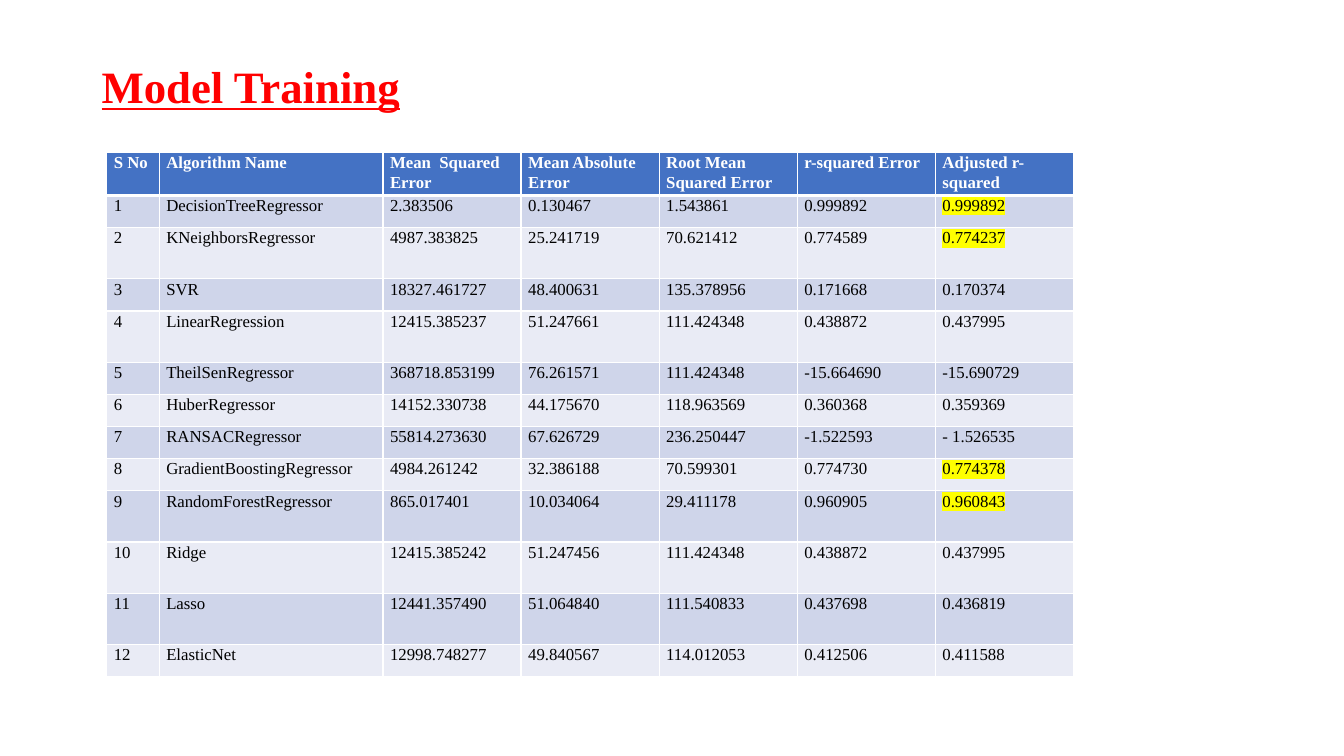
from dataclasses import dataclass

from lxml.etree import SubElement as Sub
from pptx import Presentation
from pptx.dml.color import RGBColor as Rgb
from pptx.enum.text import MSO_ANCHOR as Anchor
from pptx.oxml.ns import qn
from pptx.util import Cm, Pt


@dataclass(frozen=True)
class Theme:
    font: str = "Times New Roman"
    title: str = "FF0000"
    head: str = "4472C4"
    bands: tuple = ("CFD5EA", "E9EBF5")
    light: str = "FFFFFF"
    ink: str = "000000"
    mark: str = "FFFF00"
    big: int = 32
    small: int = 12


HEADS = ("S No", "Algorithm Name", "Mean  Squared Error", "Mean Absolute Error",
         "Root Mean Squared Error", "r-squared Error", "Adjusted r-squared")
MODELS = (
    ("DecisionTreeRegressor", "2.383506", "0.130467", "1.543861", "0.999892", "0.999892"),
    ("KNeighborsRegressor", "4987.383825", "25.241719", "70.621412", "0.774589", "0.774237"),
    ("SVR", "18327.461727", "48.400631", "135.378956", "0.171668", "0.170374"),
    ("LinearRegression", "12415.385237", "51.247661", "111.424348", "0.438872", "0.437995"),
    ("TheilSenRegressor", "368718.853199", "76.261571", "111.424348", "-15.664690", "-15.690729"),
    ("HuberRegressor", "14152.330738", "44.175670", "118.963569", "0.360368", "0.359369"),
    ("RANSACRegressor", "55814.273630", "67.626729", "236.250447", "-1.522593", "- 1.526535"),
    ("GradientBoostingRegressor", "4984.261242", "32.386188", "70.599301", "0.774730", "0.774378"),
    ("RandomForestRegressor", "865.017401", "10.034064", "29.411178", "0.960905", "0.960843"),
    ("Ridge", "12415.385242", "51.247456", "111.424348", "0.438872", "0.437995"),
    ("Lasso", "12441.357490", "51.064840", "111.540833", "0.437698", "0.436819"),
    ("ElasticNet", "12998.748277", "49.840567", "114.012053", "0.412506", "0.411588"),
)
BEST = {1, 2, 8, 9}
TALL = {2, 4, 9, 10, 11}
WIDTHS = (1.32, 5.64) + (3.48,) * 5


def write(frame, text, *, font, size, color, bold=False, under=False,
          mark=None, lead=1.07, after=0):
    para = frame.paragraphs[0]
    para.line_spacing, para.space_after = lead, Pt(after)
    run = para.add_run()
    run.text = text
    style = run.font
    style.name, style.size = font, Pt(size)
    style.bold, style.underline = bold, under
    style.color.rgb = Rgb.from_string(color)
    if mark:
        props = style._element
        glow = Sub(props, qn("a:highlight"))
        Sub(glow, qn("a:srgbClr"), val=mark)
        props.find(qn("a:solidFill")).addnext(glow)


def border(cell, color, **sides):
    """Draw cell edges; each side L, R, T or B gives its width in points."""
    props = cell._tc.get_or_add_tcPr()
    for side, width in sides.items():
        line = Sub(props, qn(f"a:ln{side}"), w=str(Pt(width)))
        Sub(Sub(line, qn("a:solidFill")), qn("a:srgbClr"), val=color)


class Deck:
    def __init__(self, theme):
        self.theme = theme
        self.show = Presentation()
        self.show.slide_width, self.show.slide_height = Cm(33.87), Cm(19.05)
        self.slide = self.show.slides.add_slide(self.show.slide_layouts[6])

    def title(self, text, left, top, width, height):
        look = self.theme
        box = self.slide.shapes.add_textbox(Cm(left), Cm(top), Cm(width), Cm(height))
        frame = box.text_frame
        frame.word_wrap = True
        frame.vertical_anchor = Anchor.BOTTOM
        write(frame, text, font=look.font, size=look.big, color=look.title,
              bold=True, under=True, lead=0.9)

    def cell(self, cell, text, row, mark):
        look = self.theme
        head = row == 0
        cell.margin_left = cell.margin_right = Cm(0.18)
        cell.margin_top = cell.margin_bottom = 0
        border(cell, look.light, L=1, R=1, T=3 if row == 1 else 1, B=3 if head else 1)
        cell.fill.solid()
        fill = look.head if head else look.bands[(row - 1) % 2]
        cell.fill.fore_color.rgb = Rgb.from_string(fill)
        write(cell.text_frame, text, font=look.font, size=look.small,
              color=look.light if head else look.ink, bold=head,
              mark=look.mark if mark else None, after=8)

    def table(self, rows, left, top, widths, heights, marked):
        """Fill a table; marked lists the rows whose last cell is highlighted."""
        grid = self.slide.shapes.add_table(
            len(rows), len(widths), Cm(left), Cm(top),
            Cm(sum(widths)), Cm(sum(heights))).table
        grid.horz_banding = False
        for col, width in zip(grid.columns, widths):
            col.width = Cm(width)
        for r, (row, height) in enumerate(zip(rows, heights)):
            grid.rows[r].height = Cm(height)
            for c, text in enumerate(row):
                last = c == len(widths) - 1
                self.cell(grid.cell(r, c), text, r, last and r in marked)


def main():
    deck = Deck(Theme())
    deck.title("Model Training", 2.31, 0.86, 29.21, 2.13)
    rows = [HEADS] + [(str(n), *model) for n, model in enumerate(MODELS, 1)]
    heights = [1] + [1.29 if n in TALL else 0.81 for n in range(1, len(rows))]
    deck.table(rows, 2.69, 3.84, WIDTHS, heights, BEST)
    deck.show.save("out.pptx")


if __name__ == "__main__":
    main()
